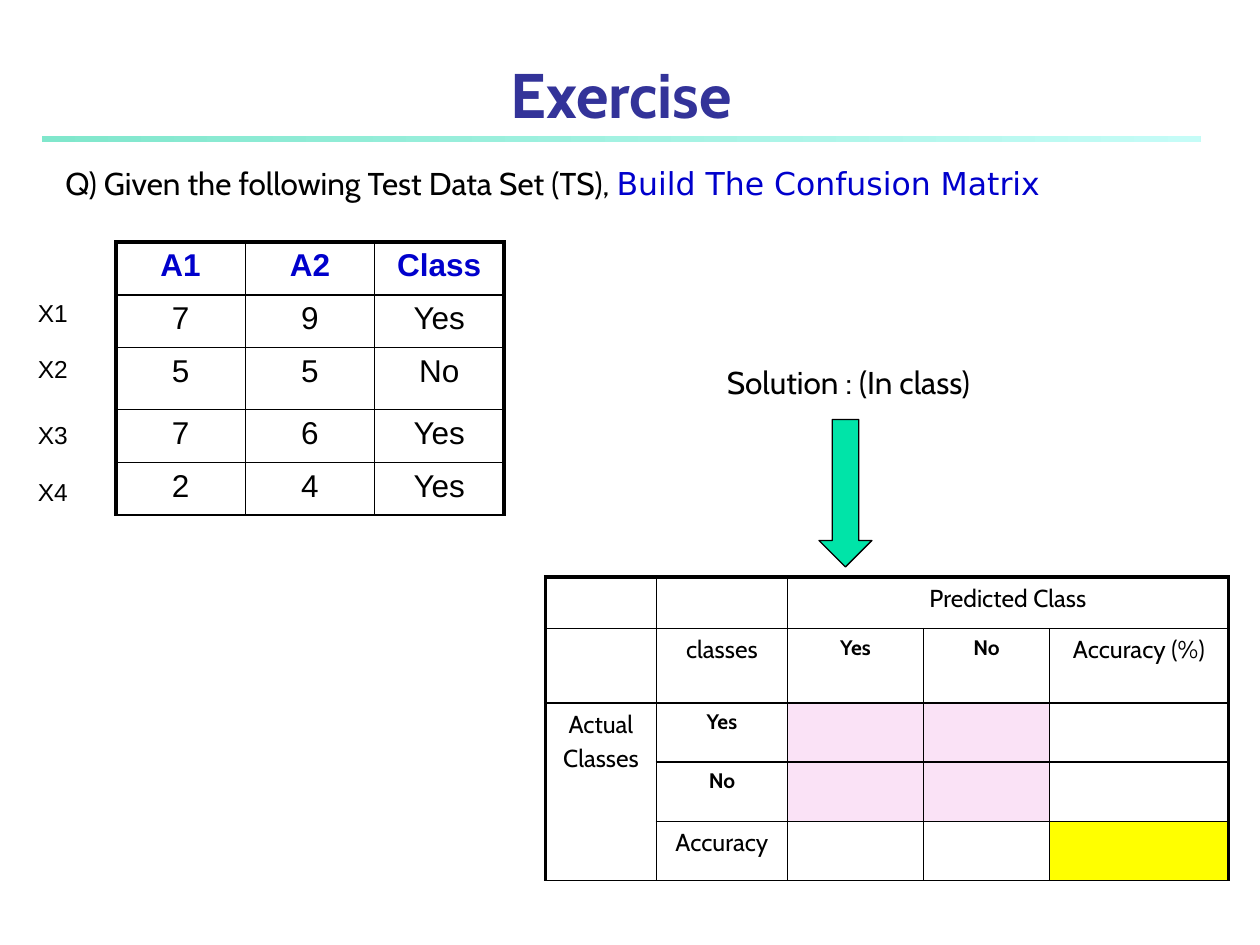
from lxml import etree
from pptx import Presentation
from pptx.dml.color import RGBColor
from pptx.enum.shapes import MSO_SHAPE
from pptx.enum.text import MSO_ANCHOR, PP_ALIGN
from pptx.oxml.ns import qn
from pptx.util import Inches, Pt

CENTER, LEFT = PP_ALIGN.CENTER, PP_ALIGN.LEFT
TOP, BOTTOM = MSO_ANCHOR.TOP, MSO_ANCHOR.BOTTOM
RECTANGLE, DOWN_ARROW = MSO_SHAPE.RECTANGLE, MSO_SHAPE.DOWN_ARROW

BLACK = RGBColor(0x00, 0x00, 0x00)
INDIGO = RGBColor(0x33, 0x33, 0x99)
BLUE = RGBColor(0x00, 0x00, 0xCC)
GREEN = RGBColor(0x00, 0xE4, 0xA8)
RULE_START = RGBColor(0x80, 0xE7, 0xCC)
RULE_END = RGBColor(0xC5, 0xFC, 0xF7)
PINK = RGBColor(0xFA, 0xE2, 0xF6)
YELLOW = RGBColor(0xFF, 0xFF, 0x00)

THICK, THIN = Pt(2.25), Pt(1)


def font_format(name, size, color=BLACK, bold=False):
    return {"name": name, "size": Pt(size), "bold": bold, "color": color}


DATA_HEAD = font_format("Arial", 18, BLUE, True)
DATA_BODY = font_format("Arial", 18)
ROW_LABEL = font_format("Arial", 14)
MATRIX_TEXT = font_format("Cabin", 14)
MATRIX_CLASS = font_format("Cabin", 12, bold=True)
BODY = font_format("Cabin", 18)


def add_run(paragraph, text, font):
    run = paragraph.add_run()
    run.text = text
    for key, value in font.items():
        if key == "color":
            run.font.color.rgb = value
        else:
            setattr(run.font, key, value)


def add_text(slide, box, runs, align=LEFT, anchor=TOP):
    frame = slide.shapes.add_textbox(*map(Inches, box)).text_frame
    frame.word_wrap = True
    frame.vertical_anchor = anchor
    paragraph = frame.paragraphs[0]
    paragraph.alignment = align
    for text, font in runs:
        add_run(paragraph, text, font)


def add_plain_table(slide, box, columns, rows):
    """Add an unstyled table whose cells have no fill."""
    frame = slide.shapes.add_table(len(rows), len(columns), *map(Inches, box))
    table = frame.table
    table.first_row = table.horz_banding = False
    for column, width in zip(table.columns, columns):
        column.width = Inches(width)
    for row, height in zip(table.rows, rows):
        row.height = Inches(height)
    for cell in table.iter_cells():
        cell.fill.background()
    return table


def write_cell(cell, text, font, space_after=0):
    for index, line in enumerate(text.split("\n")):
        frame = cell.text_frame
        paragraph = frame.add_paragraph() if index else frame.paragraphs[0]
        paragraph.alignment = CENTER
        paragraph.space_after = Pt(space_after)
        if index:
            paragraph.space_before = Pt(font["size"].pt * 0.2)
        add_run(paragraph, line, font)


def draw_borders(table):
    """Thin grid with a thick left, top and right outline."""
    last_column = len(table.columns)
    for row in range(len(table.rows)):
        for column in range(last_column):
            cell = table.cell(row, column)
            if cell.is_spanned:
                continue
            span = cell.span_width if cell.is_merge_origin else 1
            widths = {
                "a:lnL": THIN if column else THICK,
                "a:lnR": THICK if column + span == last_column else THIN,
                "a:lnT": THIN if row else THICK,
                "a:lnB": THIN,
            }
            properties = cell._tc.get_or_add_tcPr()
            for index, (tag, width) in enumerate(widths.items()):
                line = etree.Element(qn(tag), w=str(int(width)))
                fill = etree.SubElement(line, qn("a:solidFill"))
                etree.SubElement(fill, qn("a:srgbClr"), val=str(BLACK))
                properties.insert(index, line)


def add_heading(slide, box):
    left, top, width, height = box
    # Rule under the title
    rule = slide.shapes.add_shape(
        RECTANGLE, *map(Inches, (left, top + height - 0.01, width, 0.05)))
    rule.shadow.inherit = False
    rule.line.fill.background()
    rule.fill.gradient()
    rule.fill.gradient_angle = 0
    for stop, color in zip(rule.fill.gradient_stops, (RULE_START, RULE_END)):
        stop.color.rgb = color
    title = font_format("Cabin", 36, INDIGO, True)
    add_text(slide, box, [("Exercise", title)], CENTER, BOTTOM)


def add_question(slide, box):
    add_text(slide, box, [
        ("Q) Given the following Test Data Set (TS), ", BODY),
        ("Build The Confusion Matrix", font_format("DejaVu Sans", 18, BLUE)),
    ])


def add_test_data(slide, box):
    values = [("A1", "A2", "Class"), ("7", "9", "Yes"), ("5", "5", "No"),
              ("7", "6", "Yes"), ("2", "4", "Yes")]
    table = add_plain_table(slide, box, [box[2] / 3] * 3,
                            [0.42, 0.42, 0.49, 0.42, 0.42])
    for row, texts in enumerate(values):
        for column, text in enumerate(texts):
            font = DATA_BODY if row else DATA_HEAD
            write_cell(table.cell(row, column), text, font, 4)
    draw_borders(table)


def add_row_labels(slide, box):
    table = add_plain_table(slide, box, [box[2]], [0.45, 0.52, 0.45, 0.45])
    for row in range(4):
        write_cell(table.cell(row, 0), f"X{row + 1}", ROW_LABEL, 4)


def add_solution(slide, box):
    left, top, width, height = box
    add_text(slide, (left, top, width, 0.4), [("Solution : (In class)", BODY)])
    # Arrow down to the matrix
    arrow = slide.shapes.add_shape(
        DOWN_ARROW, *map(Inches, (left + 0.83, top + 0.5, 0.42, height - 0.5)))
    arrow.shadow.inherit = False
    arrow.fill.solid()
    arrow.fill.fore_color.rgb = GREEN
    arrow.line.color.rgb = BLACK
    arrow.line.width = Pt(0.75)


def add_confusion_matrix(slide, box):
    table = add_plain_table(slide, box, [0.88, 1.04, 1.08, 1, 1.42],
                            [0.41, 0.59, 0.47, 0.47, 0.47])
    table.cell(0, 2).merge(table.cell(0, 4))
    table.cell(2, 0).merge(table.cell(4, 0))
    texts = {
        (0, 2): "Predicted Class", (1, 1): "classes", (1, 2): "Yes",
        (1, 3): "No", (1, 4): "Accuracy (%)", (2, 0): "Actual\nClasses",
        (2, 1): "Yes", (3, 1): "No", (4, 1): "Accuracy",
    }
    for position, text in texts.items():
        font = MATRIX_CLASS if text in ("Yes", "No") else MATRIX_TEXT
        write_cell(table.cell(*position), text, font)
    # Counts in pink, overall accuracy in yellow
    fills = {(row, column): PINK for row in (2, 3) for column in (2, 3)}
    fills[4, 4] = YELLOW
    for position, color in fills.items():
        fill = table.cell(*position).fill
        fill.solid()
        fill.fore_color.rgb = color
    draw_borders(table)


def main():
    presentation = Presentation()
    presentation.slide_width, presentation.slide_height = Inches(10), Inches(7.5)
    slide = presentation.slides.add_slide(presentation.slide_layouts[6])
    add_heading(slide, (0.33, 0.42, 9.2, 0.67))
    add_test_data(slide, (0.92, 1.92, 3.08, 2.17))
    add_solution(slide, (5.67, 2.83, 3.17, 1.67))
    add_confusion_matrix(slide, (4.33, 4.58, 5.42, 2.42))
    add_question(slide, (0.42, 1.25, 8.38, 0.71))
    add_row_labels(slide, (0.17, 2.33, 0.5, 1.86))
    presentation.save("out.pptx")


if __name__ == "__main__":
    main()
